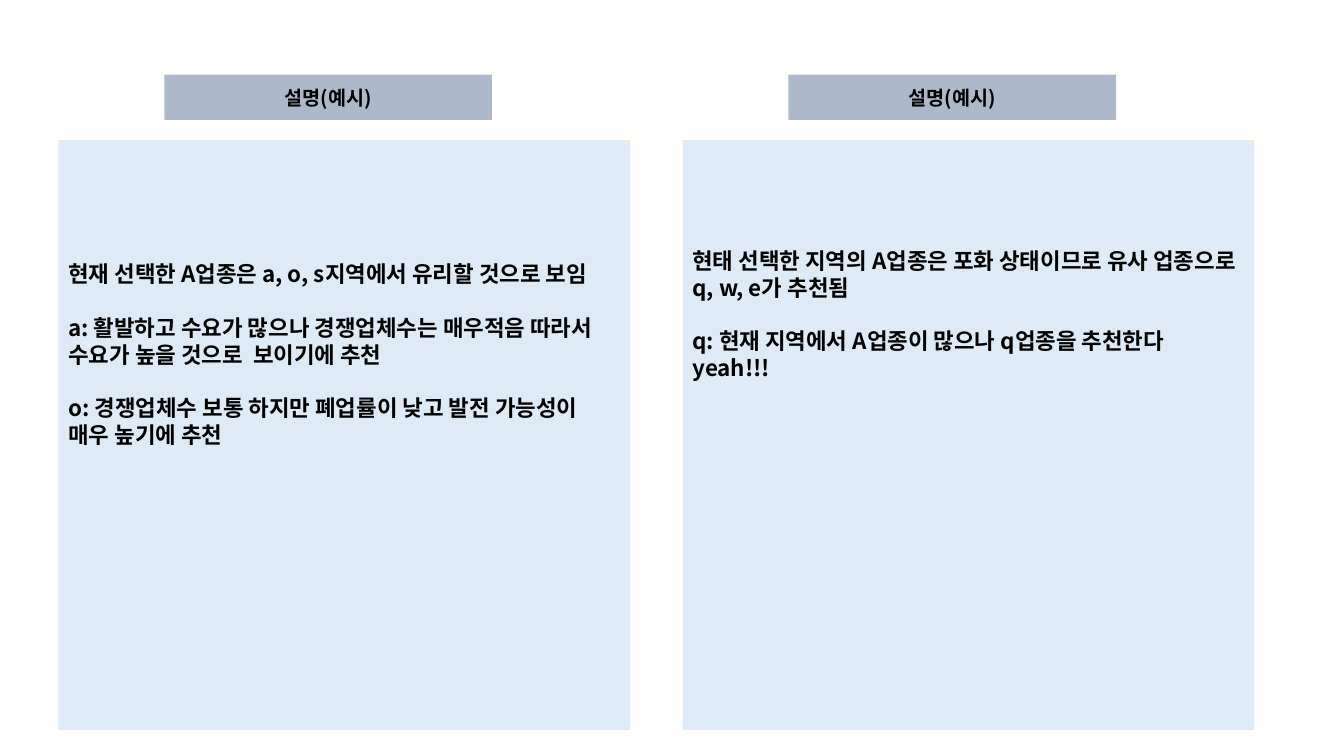
from lxml.etree import SubElement
from pptx import Presentation
from pptx.dml.color import RGBColor
from pptx.enum.shapes import MSO_SHAPE as Preset
from pptx.enum.text import MSO_ANCHOR as Anchor, PP_ALIGN as Align
from pptx.oxml.ns import qn
from pptx.util import Inches, Pt

FONT = "Noto Sans CJK KR"
LINE_HEIGHT = Pt(19.2)
FIRST_COLUMN, COLUMN_STEP = 0.58, 6.19
HEADING_INDENT = 1.05


def color(hex_string):
    return RGBColor.from_string(hex_string)


def add_box(slide, left, top, width, height, fill, texts, size, align):
    """Add a borderless rectangle holding one bold paragraph per text."""
    shape = slide.shapes.add_shape(
        Preset.RECTANGLE, Inches(left), Inches(top), Inches(width), Inches(height))
    shape.shadow.inherit = False
    shape.fill.solid()
    shape.fill.fore_color.rgb = color(fill)
    shape.line.fill.background()
    frame = shape.text_frame
    frame.word_wrap = True
    frame.text = "\n".join(texts)
    for paragraph in frame.paragraphs:
        paragraph.alignment = align
        font = paragraph.font
        font.size = Pt(size)
        font.bold = True
        font.color.rgb = color("000000")
        font.name = FONT
    for properties in shape.element.iter(qn("a:defRPr")):
        SubElement(properties, qn("a:ea"), typeface=FONT)
    return shape


presentation = Presentation()
presentation.slide_width = Inches(13.33)
presentation.slide_height = Inches(7.5)
slide = presentation.slides.add_slide(presentation.slide_layouts[6])

# Each column: space above its text, then its paragraphs
columns = [
    (1.19, ["현재 선택한 A업종은 a, o, s지역에서 유리할 것으로 보임",
            "a: 활발하고 수요가 많으나 경쟁업체수는 매우적음 따라서 수요가 높을 것으로  보이기에 추천",
            "o: 경쟁업체수 보통 하지만 폐업률이 낮고 발전 가능성이 매우 높기에 추천"]),
    (1.06, ["현태 선택한 지역의 A업종은 포화 상태이므로 유사 업종으로 q, w, e가 추천됨",
            "q: 현재 지역에서 A업종이 많으나 q업종을 추천한다 yeah!!!"]),
]

for index, (space_above, texts) in enumerate(columns):
    left = FIRST_COLUMN + index * COLUMN_STEP
    heading = add_box(slide, left + HEADING_INDENT, 0.74, 3.25, 0.45,
                      "ADB9CA", ["설명(예시)"], 14, Align.CENTER)
    heading.text_frame.vertical_anchor = Anchor.MIDDLE

    panel = add_box(slide, left, 1.39, 5.67, 5.85, "DEEBF7", texts, 16, Align.LEFT)
    panel.text_frame.vertical_anchor = Anchor.TOP
    panel.text_frame.margin_top = Inches(space_above)
    for paragraph in panel.text_frame.paragraphs:
        paragraph.line_spacing = LINE_HEIGHT
        paragraph.space_after = LINE_HEIGHT

presentation.save("out.pptx")
